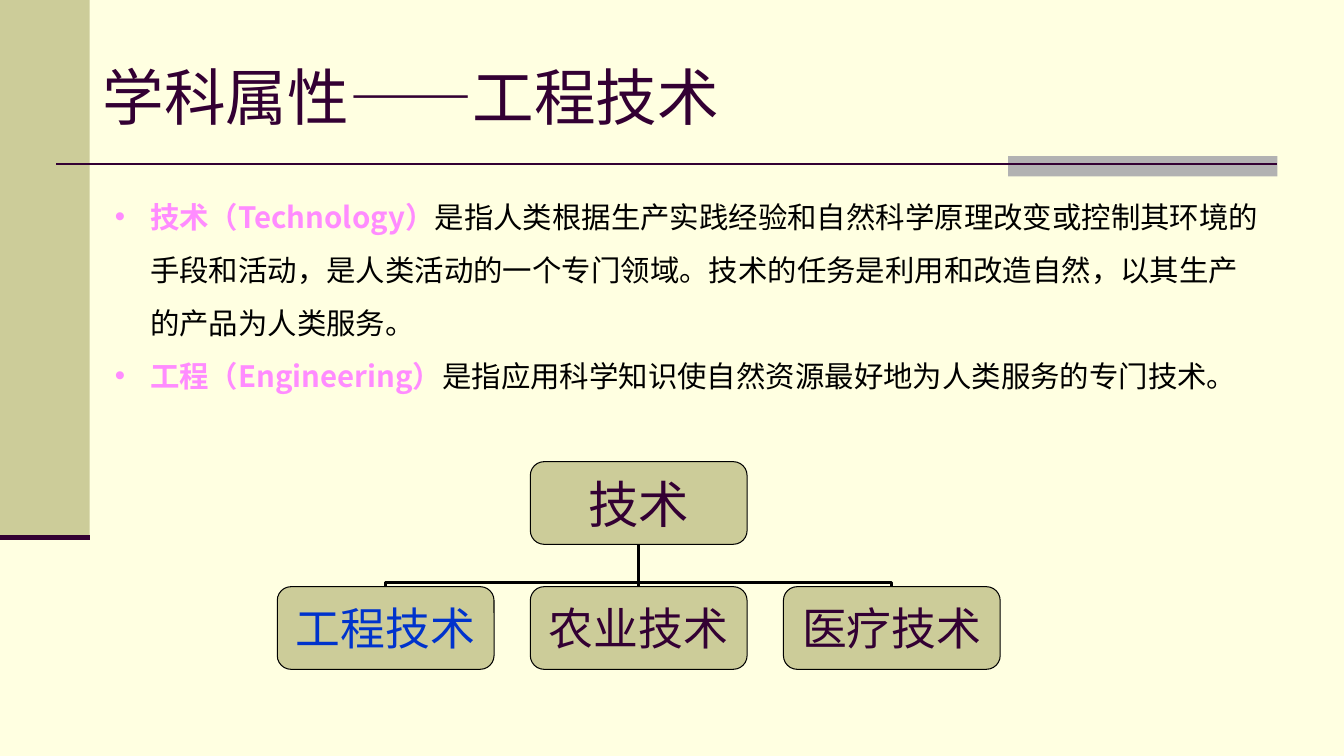
from lxml.etree import SubElement
from pptx import Presentation
from pptx.dml.color import RGBColor
from pptx.enum.shapes import MSO_CONNECTOR, MSO_SHAPE
from pptx.enum.text import MSO_ANCHOR, PP_ALIGN
from pptx.oxml.ns import qn
from pptx.util import Inches, Pt

PLUM, KHAKI, PINK, BLACK = "330033", "CCCC99", "FF8CFF", "000000"
SANS, SERIF = "Noto Sans CJK SC", "Times New Roman"
DEFINITIONS = [
    ("技术（Technology）",
     "是指人类根据生产实践经验和自然科学原理改变或控制其环境的手段和活动，"
     "是人类活动的一个专门领域。技术的任务是利用和改造自然，以其生产的产品为人类服务。"),
    ("工程（Engineering）", "是指应用科学知识使自然资源最好地为人类服务的专门技术。"),
]
BRANCHES = [("工程技术", "0033CC"), ("农业技术", PLUM), ("医疗技术", PLUM)]


def color(hex_code):
    """Turn a hex string into a colour."""
    return RGBColor.from_string(hex_code)


def add_block(slide, preset, left, top, width, height, fill):
    """Add a filled shape without line or shadow."""
    block = slide.shapes.add_shape(
        preset, Inches(left), Inches(top), Inches(width), Inches(height))
    block.shadow.inherit = False
    block.fill.solid()
    block.fill.fore_color.rgb = color(fill)
    block.line.fill.background()
    return block


def add_line(slide, start, end, hex_code, weight, kind=MSO_CONNECTOR.STRAIGHT):
    """Add a connector without shadow between two points."""
    line = slide.shapes.add_connector(kind, *map(Inches, (*start, *end)))
    line.line.color.rgb = color(hex_code)
    line.line.width = Pt(weight)
    SubElement(line._element.spPr, qn("a:effectLst"))
    return line


def add_elbow(slide, parent, child, weight):
    """Add an upright elbow from a child box up to its parent."""
    run, rise = abs(child[0] - parent[0]), child[1] - parent[1]
    mid_x, mid_y = (child[0] + parent[0]) / 2, (child[1] + parent[1]) / 2
    near, far = mid_x - rise / 2, mid_x + rise / 2
    top, bottom = mid_y - run / 2, mid_y + run / 2
    rightward = child[0] > parent[0]
    start, end = (far, near) if rightward else (near, far)
    elbow = add_line(slide, (start, top), (end, bottom), BLACK, weight, MSO_CONNECTOR.ELBOW)
    properties = elbow._element.spPr
    properties.find(qn("a:xfrm")).set("rot", str((90 if rightward else 270) * 60000))
    guides = properties.find(qn("a:prstGeom")).find(qn("a:avLst"))
    SubElement(guides, qn("a:gd"), name="adj1", fmla="val 9900")


def add_run(paragraph, words, size, font, hex_code, bold=False):
    """Add a run with its Latin font and the shared East Asian font."""
    run = paragraph.add_run()
    run.text = words
    run.font.size = Pt(size)
    run.font.bold = bold
    run.font.name = font
    run.font.color.rgb = color(hex_code)
    SubElement(run._r.get_or_add_rPr(), qn("a:ea"), typeface=SANS)


def add_text_frame(slide, left, top, width, height):
    """Add a wrapping text box and return its frame."""
    frame = slide.shapes.add_textbox(
        Inches(left), Inches(top), Inches(width), Inches(height)).text_frame
    frame.word_wrap = True
    return frame


def add_backdrop(slide):
    """Draw the background, side band and title rule."""
    slide.background.fill.solid()
    slide.background.fill.fore_color.rgb = color("FFFFE1")
    band_width, band_height = 0.89, 5.33
    add_block(slide, MSO_SHAPE.RECTANGLE, 0, 0, band_width, band_height, KHAKI)
    add_block(slide, MSO_SHAPE.RECTANGLE, 10, 1.55, 2.67, 0.2, "B2B2B2")
    add_line(slide, (0.56, 1.63), (12.67, 1.63), PLUM, 1.5)
    add_line(slide, (0, band_height), (band_width, band_height), PLUM, 3.5)


def add_title(slide, left, top, width, height):
    """Write the slide title."""
    frame = add_text_frame(slide, left, top, width, height)
    frame.vertical_anchor = MSO_ANCHOR.MIDDLE
    for words, font in (("学科属性", SANS), ("——", "Arial"), ("工程技术", SANS)):
        add_run(frame.paragraphs[0], words, 44, font, PLUM)


def add_definitions(slide, left, top, width, height):
    """Write the bulleted definitions."""
    frame = add_text_frame(slide, left, top, width, height)
    for index, (term, meaning) in enumerate(DEFINITIONS):
        paragraph = frame.add_paragraph() if index else frame.paragraphs[0]
        paragraph.line_spacing = 1.5
        paragraph.space_before = Pt(0)
        properties = paragraph._p.get_or_add_pPr()
        properties.set("marL", str(Inches(0.47)))
        properties.set("indent", str(Inches(-0.35)))
        SubElement(properties, qn("a:buFont"), typeface="Arial")
        SubElement(properties, qn("a:buChar"), char="•")
        add_run(paragraph, term, 21, SANS, PINK, bold=True)
        add_run(paragraph, meaning, 21, SANS, BLACK)


def add_node(slide, left, top, width, height, label, size, hex_code):
    """Draw one labelled box of the tree."""
    node = add_block(slide, MSO_SHAPE.ROUNDED_RECTANGLE, left, top, width, height, KHAKI)
    node.line.color.rgb = color(BLACK)
    node.line.width = Pt(0.75)
    frame = node.text_frame
    frame.margin_left = frame.margin_right = frame.margin_top = frame.margin_bottom = 0
    frame.word_wrap = False
    frame.vertical_anchor = MSO_ANCHOR.MIDDLE
    frame.paragraphs[0].alignment = PP_ALIGN.CENTER
    add_run(frame.paragraphs[0], label, size, SERIF, hex_code)


def add_tree(slide, left, top, width, height):
    """Draw the root box, its branches and the lines between them."""
    node_width, node_height = 2.15, 0.82
    step = (width - node_width) / (len(BRANCHES) - 1)
    root_left = left + (width - node_width) / 2
    branch_top = top + height - node_height
    root_foot = (left + width / 2, top + node_height)
    lefts = [left + index * step for index in range(len(BRANCHES))]
    for branch_left in reversed(lefts):
        branch_head = (branch_left + node_width / 2, branch_top)
        if abs(branch_head[0] - root_foot[0]) < 0.01:
            add_line(slide, branch_head, root_foot, BLACK, 2.25)
        else:
            add_elbow(slide, root_foot, branch_head, 2.25)
    add_node(slide, root_left, top, node_width, node_height, "技术", 36, PLUM)
    for branch_left, (label, hex_code) in zip(lefts, BRANCHES):
        add_node(slide, branch_left, branch_top, node_width, node_height, label, 32, hex_code)


def main():
    """Build and save the slide."""
    deck = Presentation()
    deck.slide_width, deck.slide_height = Inches(13.33), Inches(7.5)
    slide = deck.slides.add_slide(deck.slide_layouts[6])
    add_backdrop(slide)
    add_tree(slide, 2.75, 4.58, 7.17, 2.06)
    add_title(slide, 0.92, 0.33, 8.5, 1.25)
    add_definitions(slide, 0.92, 1.75, 11.74, 2.67)
    deck.save("out.pptx")


if __name__ == "__main__":
    main()
